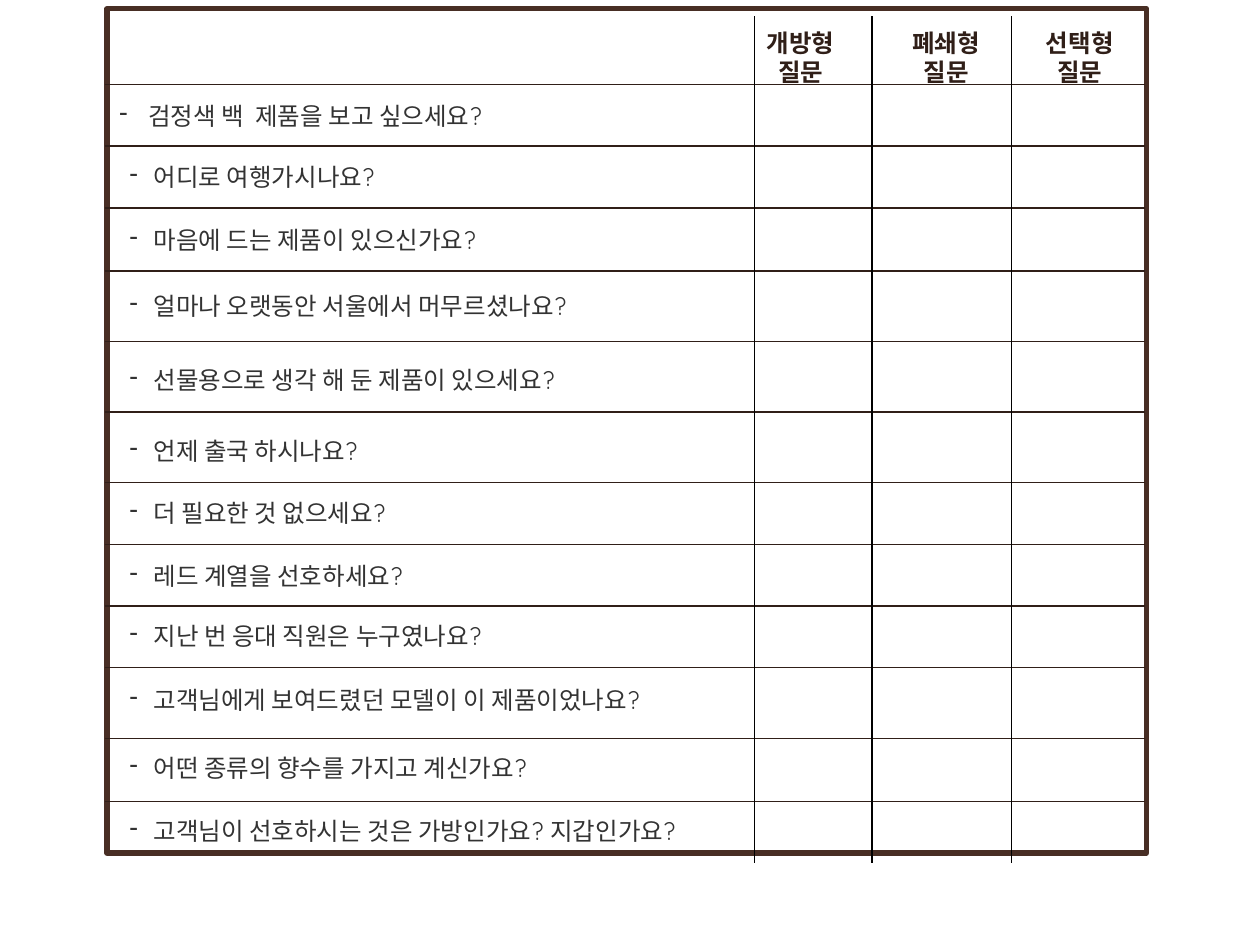
from itertools import accumulate

from lxml.etree import SubElement
from pptx import Presentation
from pptx.dml.color import RGBColor
from pptx.enum.shapes import MSO_CONNECTOR, MSO_SHAPE
from pptx.enum.text import MSO_AUTO_SIZE, PP_ALIGN
from pptx.oxml.ns import qn
from pptx.util import Inches, Pt

COLUMNS, ROWS = 100, 75
FRAME_LEFT, FRAME_RIGHT = 8.3, 90.9
RULE_TOP, RULE_BOTTOM = 1.3, 68.5
FIRST_ROW = 6.7

HEADINGS = [
    ("개방형\n질문", 58.3, 10.5),
    ("폐쇄형\n질문", 69.9, 10.4),
    ("선택형\n질문", 79.7, 12),
]
COLUMN_RULES = [59.9, 69.2, 80.3]

# question, row height, gap above the text, text height, line spacing
QUESTIONS = [
    ("검정색 백  제품을 보고 싶으세요?", 4.9, 0.1, 4.1, 1.3),
    ("어디로 여행가시나요?", 4.9, 1, 3.1, 0.9),
    ("마음에 드는 제품이 있으신가요?", 5, 0.2, 4.1, 1.3),
    ("얼마나 오랫동안 서울에서 머무르셨나요?", 5.6, 0.4, 3.7, 1.3),
    ("선물용으로 생각 해 둔 제품이 있으세요?", 5.6, 0.7, 3.7, 1.3),
    ("언제 출국 하시나요?", 5.6, 0.7, 4.1, 1.3),
    ("더 필요한 것 없으세요?", 4.9, 0, 4.1, 1.3),
    ("레드 계열을 선호하세요?", 4.9, 0.1, 4.1, 1.3),
    ("지난 번 응대 직원은 누구였나요?", 4.9, 0, 3.7, 1.3),
    ("고객님에게 보여드렸던 모델이 이 제품이었나요?", 5.6, 1.1, 3.1, 0.9),
    ("어떤 종류의 향수를 가지고 계신가요?", 5, 0, 3.7, 1.3),
    ("고객님이 선호하시는 것은 가방인가요? 지갑인가요?", 4.1, 0, 3.7, 1.3),
]


def color(hex_string):
    return RGBColor.from_string(hex_string)


class QuestionSheet:
    font, size = "Quicksand", 14
    frame_color, row_color, column_color = "482E24", "301F18", "000000"
    heading_color, question_color = "301F18", "333333"

    def __init__(self, presentation):
        self.cell_width = presentation.slide_width / COLUMNS
        self.cell_height = presentation.slide_height / ROWS
        self.slide = presentation.slides.add_slide(presentation.slide_layouts[6])

    def place(self, *lengths):
        units = (self.cell_width, self.cell_height) * 2
        return [round(length * unit) for length, unit in zip(lengths, units)]

    def frame(self, left, top, width, height):
        border = self.slide.shapes.add_shape(
            MSO_SHAPE.RECTANGLE, *self.place(left, top, width, height))
        border.shadow.inherit = False
        border.fill.solid()
        border.fill.fore_color.rgb = color("FFFFFF")
        border.line.color.rgb = color(self.frame_color)
        border.line.width = Pt(3)

    def rule(self, start_x, start_y, end_x, end_y, line_color):
        rule = self.slide.shapes.add_connector(
            MSO_CONNECTOR.STRAIGHT, *self.place(start_x, start_y, end_x, end_y))
        rule.line.color.rgb = color(line_color)
        rule.line.width = Pt(0.75)
        SubElement(rule._element.spPr, qn("a:effectLst"))

    def text(self, wording, area, text_color, bold=False):
        frame = self.slide.shapes.add_textbox(*self.place(*area)).text_frame
        frame.word_wrap = True
        frame.auto_size = MSO_AUTO_SIZE.SHAPE_TO_FIT_TEXT
        frame.text = wording
        for paragraph in frame.paragraphs:
            for run in paragraph.runs:
                run.font.name = self.font
                run.font.size = Pt(self.size)
                run.font.bold = bold
                run.font.color.rgb = color(text_color)
        return frame.paragraphs

    def heading(self, wording, left, width):
        for paragraph in self.text(wording, (left, 1.7, width, 5.7),
                                   self.heading_color, bold=True):
            paragraph.alignment = PP_ALIGN.CENTER

    def question(self, wording, area, spacing, indent):
        paragraph = self.text(wording, area, self.question_color)[0]
        paragraph.line_spacing = spacing
        properties = paragraph._p.get_or_add_pPr()
        properties.set("marL", str(Inches(indent)))
        properties.set("indent", str(-Inches(indent)))
        SubElement(properties, qn("a:buChar")).set("char", "-")


def main():
    presentation = Presentation()
    presentation.slide_width, presentation.slide_height = Inches(10), Inches(7.5)
    sheet = QuestionSheet(presentation)
    sheet.frame(8.5, 0.7, 82.5, 67)

    row_tops = list(accumulate((row[1] for row in QUESTIONS[:-1]), initial=FIRST_ROW))
    for top in row_tops:
        sheet.rule(FRAME_LEFT, top, FRAME_RIGHT, top, sheet.row_color)
    for x in COLUMN_RULES:
        sheet.rule(x, RULE_TOP, x, RULE_BOTTOM, sheet.column_color)
    for heading in HEADINGS:
        sheet.heading(*heading)

    for top, (wording, _, gap, height, spacing) in zip(row_tops, QUESTIONS):
        is_first = top == FIRST_ROW
        left, indent = (8.5, 0.23) if is_first else (9.3, 0.19)
        sheet.question(wording, (left, top + gap, 52, height), spacing, indent)

    presentation.save("out.pptx")


if __name__ == "__main__":
    main()
